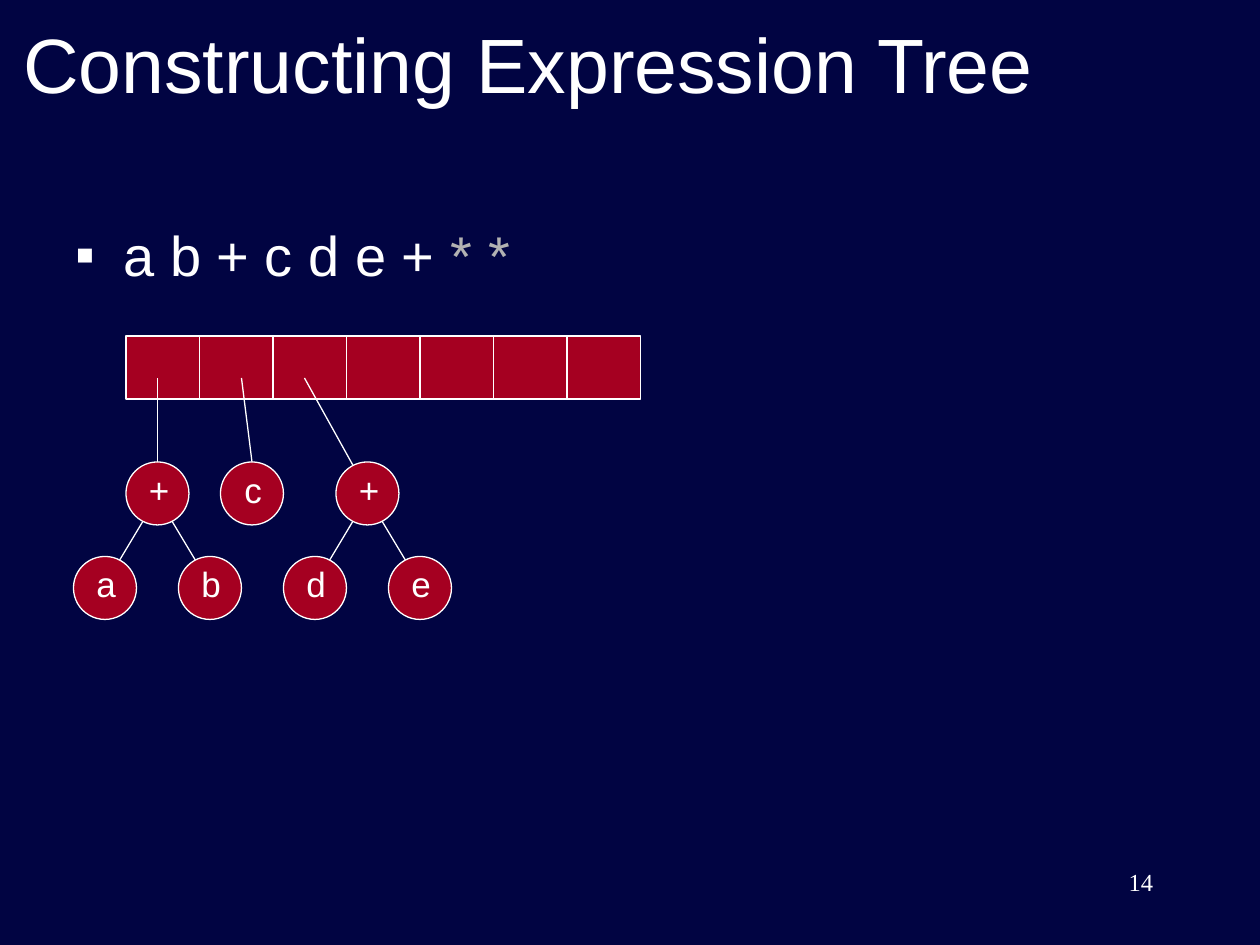
from lxml import etree
from pptx import Presentation
from pptx.dml.color import RGBColor
from pptx.enum.shapes import MSO_CONNECTOR, MSO_SHAPE
from pptx.enum.text import MSO_ANCHOR as Anchor, PP_ALIGN as Align
from pptx.oxml import parse_xml
from pptx.oxml.ns import nsdecls, qn
from pptx.util import Inches, Pt

COLORS = {"navy": "010442", "red": "A50021", "white": "FFFFFF", "gray": "B2B2B2"}
UNIT = Inches(1) // 12  # the slide is a grid of 120 by 90 units
CELL_WIDTH, CELL_COUNT = 7, 7
STACK_LEFT, STACK_TOP, STACK_HEIGHT = 12, 32, 6
NODE_SIZE = 6

deck = Presentation()
deck.slide_width, deck.slide_height = 120 * UNIT, 90 * UNIT
page = deck.slides.add_slide(deck.slide_layouts[1])
page.background.fill.solid()
page.background.fill.fore_color.rgb = RGBColor.from_string(COLORS["navy"])


def add_span(para, text, size, color="white", font="Arial"):
    span = para.add_run()
    span.text = text
    span.font.size, span.font.name = Pt(size), font
    span.font.color.rgb = RGBColor.from_string(COLORS[color])


def add_line(x1, y1, x2, y2):
    line = page.shapes.add_connector(
        MSO_CONNECTOR.STRAIGHT, x1 * UNIT, y1 * UNIT, x2 * UNIT, y2 * UNIT)
    line.line.color.rgb = RGBColor.from_string(COLORS["white"])
    line.line.width = Pt(0.75)
    etree.SubElement(line._element.spPr, qn("a:effectLst"))


# Title
title = page.shapes.title
title.left, title.top, title.width, title.height = UNIT, 0, 108 * UNIT, 12 * UNIT
title.text_frame.vertical_anchor = Anchor.MIDDLE
para = title.text_frame.paragraphs[0]
para.alignment = Align.LEFT
add_span(para, "Constructing Expression Tree", 44)

# Postfix expression, with the unread operators in gray
body = page.placeholders[1]
body.left, body.top, body.width, body.height = 6 * UNIT, 20 * UNIT, 108 * UNIT, 11 * UNIT
body.text_frame.margin_top = Inches(0.08)
para = body.text_frame.paragraphs[0]
props = para._p.get_or_add_pPr()
props.set("marL", str(Inches(0.38)))
props.set("indent", str(-Inches(0.38)))
for bullet in (f'<a:buClr {nsdecls("a")}><a:srgbClr val="{COLORS["white"]}"/></a:buClr>',
               f'<a:buFont {nsdecls("a")} typeface="Arial"/>',
               f'<a:buChar {nsdecls("a")} char="▪"/>'):
    props.append(parse_xml(bullet))
para.space_before = Pt(0)
add_span(para, "a b + c d e +", 32)
add_span(para, " * *", 32, "gray")

# Stack: one bar split into equal cells
stack = page.shapes.add_shape(
    MSO_SHAPE.RECTANGLE, STACK_LEFT * UNIT, STACK_TOP * UNIT,
    CELL_WIDTH * CELL_COUNT * UNIT, STACK_HEIGHT * UNIT)
boxes = [stack]
for cell in range(1, CELL_COUNT):
    x = STACK_LEFT + cell * CELL_WIDTH
    add_line(x, STACK_TOP, x, STACK_TOP + STACK_HEIGHT)

# Pointers from the stack to the trees
for pointer in [(15, 36, 15, 44), (23, 36, 24, 44), (29, 36, 34, 45)]:
    add_line(*pointer)

# Branches below each operator
for center in (15, 35):
    for side in (-1, 1):
        add_line(center + side, 49, center + 4 * side, 54)

# Tree nodes: label, left, top
nodes = [("+", 12, 44), ("c", 21, 44), ("+", 32, 44),
         ("a", 7, 53), ("b", 17, 53), ("d", 27, 53), ("e", 37, 53)]
for label, left, top in nodes:
    group = page.shapes.add_group_shape()
    boxes.append(group.shapes.add_shape(
        MSO_SHAPE.OVAL, left * UNIT, top * UNIT, NODE_SIZE * UNIT, NODE_SIZE * UNIT))
    text_box = group.shapes.add_textbox(
        (left + 1) * UNIT, top * UNIT, Inches(0.35), Inches(0.44))
    text_box.text_frame.word_wrap = False
    para = text_box.text_frame.paragraphs[0]
    para.alignment = Align.CENTER
    add_span(para, label, 20)

# Shared look of the stack and the nodes
for box in boxes:
    box.shadow.inherit = False
    box.fill.solid()
    box.fill.fore_color.rgb = RGBColor.from_string(COLORS["red"])
    box.line.color.rgb = RGBColor.from_string(COLORS["white"])
    box.line.width = Pt(0.75)

# Page number
number = page.shapes.add_textbox(86 * UNIT, 82 * UNIT, 25 * UNIT, 6 * UNIT)
number.text_frame.word_wrap = True
para = number.text_frame.paragraphs[0]
para.alignment = Align.RIGHT
add_span(para, "14", 14, font="Times New Roman")

deck.save("out.pptx")
